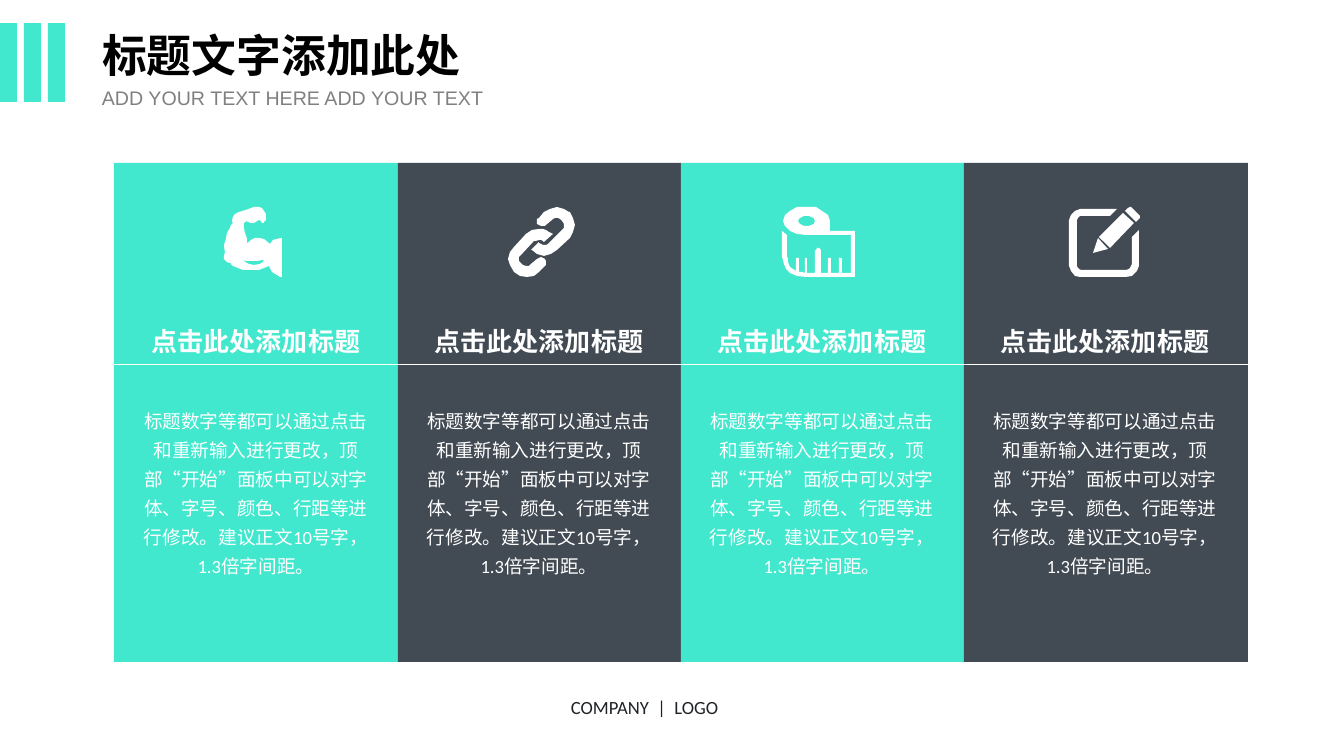
from pptx import Presentation
from pptx.dml.color import RGBColor
from pptx.enum.shapes import MSO_CONNECTOR as CONN, MSO_SHAPE as SHAPE
from pptx.enum.text import MSO_ANCHOR as ANCHOR, MSO_AUTO_SIZE as FIT, PP_ALIGN as AL
from pptx.oxml.ns import qn
from pptx.util import Pt
from lxml import etree

PX = 914400 / 100.8  # EMU per pixel
TEAL, SLATE, WHITE, BLACK, GREY, INK = (
    "42E8CE", "424A53", "FFFFFF", "000000", "808080", "1E2327")

HEADING = "点击此处添加标题"
BODY = ("标题数字等都可以通过点击和重新输入进行更改，顶部“开始”面板中可以对字体、"
        "字号、颜色、行距等进行修改。建议正文10号字，1.3倍字间距。")

# Icon outlines: one string per contour, pixel points from the icon's top left
ARM = [
    "20,53 21,55 23,56 25,57 30,58 36,57 39,55 40,53 33,54 22,54",
    "35,0 38,1 40,4 42,7 42,13 40,15 40,16 38,16 37,14 35,13 30,16 27,16 24,15 "
    "23,14 20,16 20,21 21,26 23,31 23,36 25,35 27,33 31,31 35,31 40,32 46,37 "
    "49,33 53,32 57,31 58,31 58,70 56,70 53,68 48,65 45,59 35,63 19,63 14,61 "
    "9,59 7,57 7,56 5,56 3,55 1,53 0,52 0,48 1,46 0,38 2,32 3,26 6,21 7,18 "
    "9,16 8,14 9,10 11,7 15,5 22,3 30,0",
]
LINK = [
    "31,22 35,22 38,23 41,25 43,26 45,27 36,35 35,34 33,33 31,33 28,34 26,34 "
    "14,47 12,49 11,50 11,54 12,55 14,57 15,58 18,59 21,59 22,58 23,57 29,52 "
    "31,51 33,50 35,51 37,52 38,54 38,58 37,59 31,65 26,69 19,70 12,69 6,65 "
    "2,58 0,52 2,45 6,40 18,27 24,23",
    "49,0 56,2 61,5 62,5 65,11 67,18 65,25 62,31 49,43 43,47 36,49 29,47 24,43 "
    "23,43 31,35 31,36 33,37 35,38 38,38 40,37 41,36 54,23 55,22 56,21 56,17 "
    "55,15 54,14 52,12 50,11 47,11 45,12 44,13 38,18 37,19 33,19 31,18 29,17 "
    "29,12 31,11 36,5 42,2",
]
TAPE = [
    "25,9 22,9 20,10 18,11 17,12 16,14 17,16 18,17 20,18 22,19 27,19 29,18 "
    "32,17 32,16 33,14 32,12 32,11 29,10 27,9",
    "25,0 34,0 40,4 46,8 48,14 48,24 73,24 73,70 24,70 15,69 8,66 4,62 2,57 "
    "1,53 0,50 0,24 5,28 5,50 6,51 6,55 8,60 14,64 14,51 17,51 17,65 20,65 "
    "23,66 23,51 25,51 25,66 33,66 33,44 34,43 35,41 37,41 39,43 39,66 46,66 "
    "46,51 49,51 49,66 57,66 57,51 60,51 60,66 69,66 69,28 24,28 15,27 8,24 "
    "3,19 1,14 3,8 8,4 15,0",
]
PENCIL = [
    "29,31 39,42 24,46",
    "54,6 65,16 41,41 30,30",
    "11,2 48,2 41,9 11,9 9,11 8,13 8,59 9,61 10,62 12,63 57,63 60,62 61,61 "
    "62,59 63,57 63,30 70,23 70,59 68,64 63,69 57,70 11,70 6,69 2,64 0,59 "
    "0,13 2,8 6,4",
    "62,0 63,1 70,8 71,9 71,11 70,12 67,15 56,4 59,1 61,0",
]
# Panel fill, icon and icon offset within its panel
PANELS = [(TEAL, ARM, 110), (SLATE, LINK, 110), (TEAL, TAPE, 101), (SLATE, PENCIL, 105)]


def emu(*lengths):
    return [round(n * PX) for n in lengths]


def rgb(hex_color):
    return RGBColor.from_string(hex_color)


def paint(sp, color):
    sp.shadow.inherit = False
    sp.fill.solid()
    sp.fill.fore_color.rgb = rgb(color)
    sp.line.fill.background()


def rect(s, box, color):
    paint(s.shapes.add_shape(SHAPE.RECTANGLE, *emu(*box)), color)


def write(p, text, color, para=None, **font):
    """Fill one paragraph with a single formatted run."""
    for name, value in (para or {}).items():
        setattr(p, name, value)
    r = p.add_run()
    r.text = text
    r.font.color.rgb = rgb(color)
    for name, value in font.items():
        setattr(r.font, name, value)


def text_frame(s, box, wrap=True):
    tf = s.shapes.add_textbox(*emu(*box)).text_frame
    tf.word_wrap = wrap
    return tf


def icon(s, x, y, contours):
    paths = [[tuple(map(int, pt.split(","))) for pt in c.split()] for c in contours]
    fb = s.shapes.build_freeform(*paths[0][0], scale=PX)
    for i, points in enumerate(paths):
        if i:
            fb.move_to(*points[0])
        fb.add_line_segments(points[1:], close=True)
    paint(fb.convert_to_shape(*emu(x, y)), WHITE)


def header(s, x, y):
    # Three accent bars
    for i in range(3):
        rect(s, (x + 24 * i, y, 17, 79), TEAL)
    # Title placeholder
    title = s.shapes.title
    title.left, title.top, title.width, title.height = emu(x + 92, y, 382, 65)
    tf = title.text_frame
    for name, value in dict(word_wrap=False, auto_size=FIT.NONE,
                            vertical_anchor=ANCHOR.TOP).items():
        setattr(tf, name, value)
    write(tf.paragraphs[0], "标题文字添加此处", BLACK, dict(alignment=AL.LEFT),
          name="Arial", size=Pt(32), bold=True)
    # Subtitle
    tf = text_frame(s, (x + 92, y + 58, 523, 34))
    write(tf.paragraphs[0], "ADD YOUR TEXT HERE ADD YOUR TEXT", GREY,
          name="Arial", size=Pt(14))


def caption(s, x, y):
    tf = text_frame(s, (x, y, 244, 274))
    para = dict(alignment=AL.CENTER, line_spacing=1.3)
    write(tf.paragraphs[0], HEADING, WHITE, para,
          name="Calibri", size=Pt(18.6), bold=True)
    write(tf.add_paragraph(), BODY, WHITE, dict(para, space_before=Pt(33.4)),
          name="Calibri", size=Pt(13.3), bold=False)


def panels(s, x, y, w, h):
    edges = [x + round(w * i / len(PANELS)) for i in range(len(PANELS) + 1)]
    for i, (color, contours, dx) in enumerate(PANELS):
        rect(s, (edges[i], y, edges[i + 1] - edges[i], h), color)
        icon(s, edges[i] + dx, y + 44, contours)
        caption(s, x + 20 + 283 * i, y + 148)
    # Rule under the headings
    ln = s.shapes.add_connector(CONN.STRAIGHT, *emu(x - 29, y + 201, x + w + 26, y + 201))
    ln.line.color.rgb = rgb(WHITE)
    ln.line.width = Pt(0.5)
    etree.SubElement(ln._element.spPr, qn("a:effectLst"))


def footer(s, box):
    write(text_frame(s, box).paragraphs[0], "COMPANY  |  LOGO", INK,
          dict(line_spacing=1.3), name="Calibri", size=Pt(13.3))


prs = Presentation()
prs.slide_width, prs.slide_height = emu(1344, 756)
s = prs.slides.add_slide(prs.slide_layouts[5])
panels(s, 114, 163, 1134, 499)
footer(s, (561, 684, 222, 37))
header(s, 0, 23)
prs.save("out.pptx")
